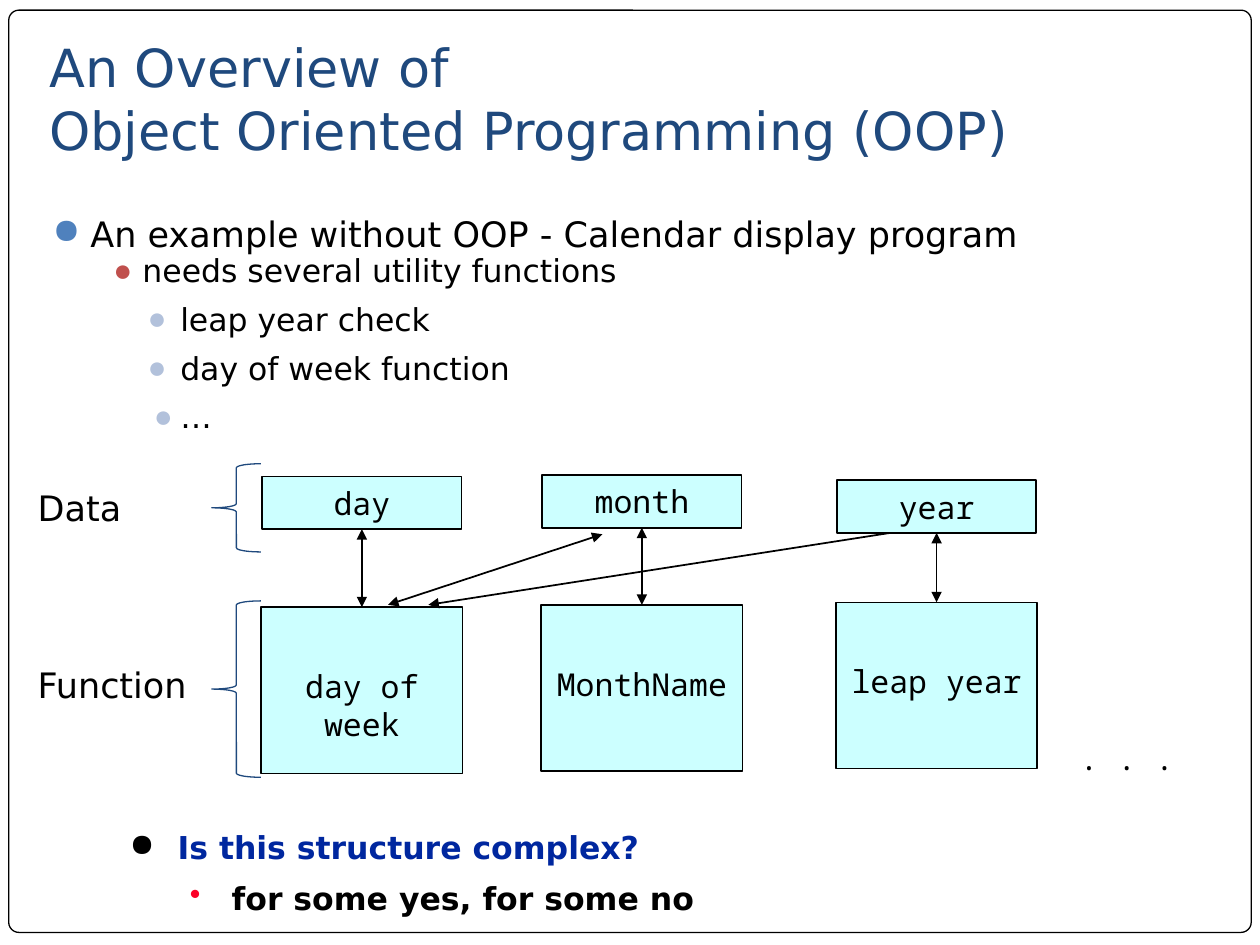
import pptx
import pptx.util
import pptx.dml.color
import pptx.enum.shapes
import pptx.enum.text
import pptx.oxml.ns
import lxml.etree

Pt = pptx.util.Pt
SHAPE = pptx.enum.shapes.MSO_SHAPE
ALIGN = pptx.enum.text.PP_ALIGN
ANCHOR = pptx.enum.text.MSO_ANCHOR
qn = pptx.oxml.ns.qn

THEME = {
    "sans": "DejaVu Sans", "mono": "Noto Sans Mono",
    "title": 30, "lead": 20, "text": 18,
    "ink": "000000", "navy": "1F497D", "question": "00279F",
    "paper": "FFFFFF", "box": "CCFFFF",
    "blue": "4F81BD", "brick": "C0504D", "mist": "B2C1DB", "red": "FC0128",
}

TITLE = [dict(text="An Overview of"), dict(text="Object Oriented Programming (OOP)")]
LEAD = [dict(text="An example without OOP - Calendar display program",
             margin=21.6, indent=-21.6, bullet="●", bullet_color="blue")]
UTILITIES = [dict(text="needs several utility functions", level=1, margin=43.2,
                  indent=-16.6, bullet="●", bullet_color="brick")]
UTILITIES += [dict(text=text, level=2, margin=64.8, indent=indent,
                   bullet="●", bullet_color="mist")
              for text, indent in [("leap year check", -18.7),
                                   ("day of week function", -18.7), ("…", -15.1)]]
QUESTION = [
    dict(text="Is this structure complex?", margin=27.4, indent=-29.5,
         bullet="●", bullet_color="ink", color="question"),
    dict(text="for some yes, for some no", level=1, margin=58.3, indent=-23.8,
         bullet="•", bullet_color="red", before=4),
]
COLUMNS = [
    dict(center=206.8, data="day", data_top=272.2, function="day of week", function_top=347),
    dict(center=366.8, data="month", data_top=271.4, function="MonthName", function_top=345.6),
    dict(center=535.2, data="year", data_top=274.3, function="leap year", function_top=344.2),
]
DATA_SIZE = (113.8, 30.2)
FUNCTION_SIZE = (115.2, 95)
CROSS_LINKS = [
    ((221.8, 345.6), (344.2, 305.3), ("head", "tail")),
    ((508.3, 304.6), (244.8, 345.6), ("tail",)),
]
ROW_LABELS = [
    ("Data", (14.4, 270, 82.8, 40.3), (121, 265, 28.1, 50.4)),
    ("Function", (14.4, 365.8, 106.6, 50.4), (121, 343.4, 28.1, 100.8)),
]


def rgb(name):
    return pptx.dml.color.RGBColor.from_string(THEME[name])


def write(shape, lines, font="sans", size="text", color="ink", bold=False,
          align=ALIGN.LEFT, anchor=ANCHOR.TOP, spacing=1.0, before=0,
          insets=(7.2, 3.6, 7.2, 3.6)):
    frame = shape.text_frame
    frame.word_wrap = True
    frame.auto_size = pptx.enum.text.MSO_AUTO_SIZE.NONE
    frame.vertical_anchor = anchor
    (frame.margin_left, frame.margin_top,
     frame.margin_right, frame.margin_bottom) = map(Pt, insets)
    for index, line in enumerate(lines):
        paragraph = frame.add_paragraph() if index else frame.paragraphs[0]
        paragraph.level = line.get("level", 0)
        paragraph.alignment = align
        paragraph.line_spacing = spacing
        paragraph.space_before = Pt(line.get("before", before))
        paragraph.space_after = Pt(0)
        run = paragraph.add_run()
        run.text = line["text"]
        run.font.name = THEME[font]
        run.font.size = Pt(THEME[size])
        run.font.bold = bold
        run.font.color.rgb = rgb(line.get("color", color))
        if "bullet" in line:
            properties = paragraph._p.get_or_add_pPr()
            properties.set("marL", str(Pt(line["margin"])))
            properties.set("indent", str(Pt(line["indent"])))
            tint = lxml.etree.SubElement(properties, qn("a:buClr"))
            lxml.etree.SubElement(tint, qn("a:srgbClr"), val=THEME[line["bullet_color"]])
            lxml.etree.SubElement(properties, qn("a:buChar"), char=line["bullet"])


def place(shape, box):
    shape.left, shape.top, shape.width, shape.height = map(Pt, box)
    return shape


def add_label(slide, box, lines, **style):
    write(slide.shapes.add_textbox(*map(Pt, box)), lines, **style)


def add_outline(slide, kind, box, fill=None, line="ink", weight=1, adjust=None):
    shape = slide.shapes.add_shape(kind, *map(Pt, box))
    shape.shadow.inherit = False
    if fill:
        shape.fill.solid()
        shape.fill.fore_color.rgb = rgb(fill)
    else:
        shape.fill.background()
    shape.line.color.rgb = rgb(line)
    shape.line.width = Pt(weight)
    if adjust is not None:
        shape.adjustments[0] = adjust
    return shape


def add_box(slide, text, center, top, size, **style):
    box = add_outline(slide, SHAPE.RECTANGLE, (center - size[0] / 2, top, *size), fill="box")
    write(box, [dict(text=text)], font="mono", align=ALIGN.CENTER, **style)
    return box


def add_arrow(slide, start, end, heads):
    arrow = slide.shapes.add_connector(
        pptx.enum.shapes.MSO_CONNECTOR.STRAIGHT, *map(Pt, (*start, *end)))
    arrow.line.color.rgb = rgb("ink")
    arrow.line.width = Pt(1)
    outline = arrow.line._get_or_add_ln()
    for head in heads:
        lxml.etree.SubElement(outline, qn(f"a:{head}End"), type="triangle")
    lxml.etree.SubElement(arrow._element.spPr, qn("a:effectLst"))
    return arrow


def main():
    deck = pptx.Presentation()
    deck.slide_width, deck.slide_height = Pt(720), Pt(540)
    slide = deck.slides.add_slide(deck.slide_layouts[1])

    border = add_outline(slide, SHAPE.ROUNDED_RECTANGLE, (5, 5.8, 710, 527),
                         fill="paper", weight=0.75, adjust=0.011)
    slide.shapes._spTree.insert(2, border._element)

    title, body = slide.placeholders
    write(place(title, (20.9, 9.4, 681.8, 90)), TITLE, size="title", color="navy",
          anchor=ANCHOR.BOTTOM, insets=(7.2, 3.6, 7.2, 7.2))
    write(place(body, (31, 136.8, 612, 110.9)), UTILITIES, spacing=1.15, before=3)

    for column in COLUMNS:
        data = add_box(slide, column["data"], column["center"], column["data_top"],
                       DATA_SIZE, anchor=ANCHOR.MIDDLE)
        function = add_box(slide, column["function"], column["center"],
                           column["function_top"], FUNCTION_SIZE,
                           insets=(7.2, 34.2, 7.2, 3.6))
        link = add_arrow(slide, (column["center"], column["data_top"] + DATA_SIZE[1]),
                         (column["center"], column["function_top"]), ("head", "tail"))
        link.begin_connect(data, 2)
        link.end_connect(function, 0)
    for start, end, heads in CROSS_LINKS:
        add_arrow(slide, start, end, heads)

    add_label(slide, (609.8, 419, 82.8, 28.8), [dict(text=". . .")], font="mono")
    add_label(slide, (67, 466.6, 612, 63.4), QUESTION, bold=True, spacing=1.15)
    add_label(slide, (23, 96.5, 684.7, 69.8), LEAD, size="lead", spacing=1.15,
              anchor=ANCHOR.MIDDLE, insets=(7.2, 7.2, 7.2, 7.2))
    for text, label_box, brace_box in ROW_LABELS:
        add_outline(slide, SHAPE.LEFT_BRACE, brace_box, line="navy", weight=0.75, adjust=0.083)
        add_label(slide, label_box, [dict(text=text)], size="lead", before=3,
                  anchor=ANCHOR.MIDDLE, insets=(7.2, 7.2, 7.2, 7.2))

    deck.save("out.pptx")


if __name__ == "__main__":
    main()
